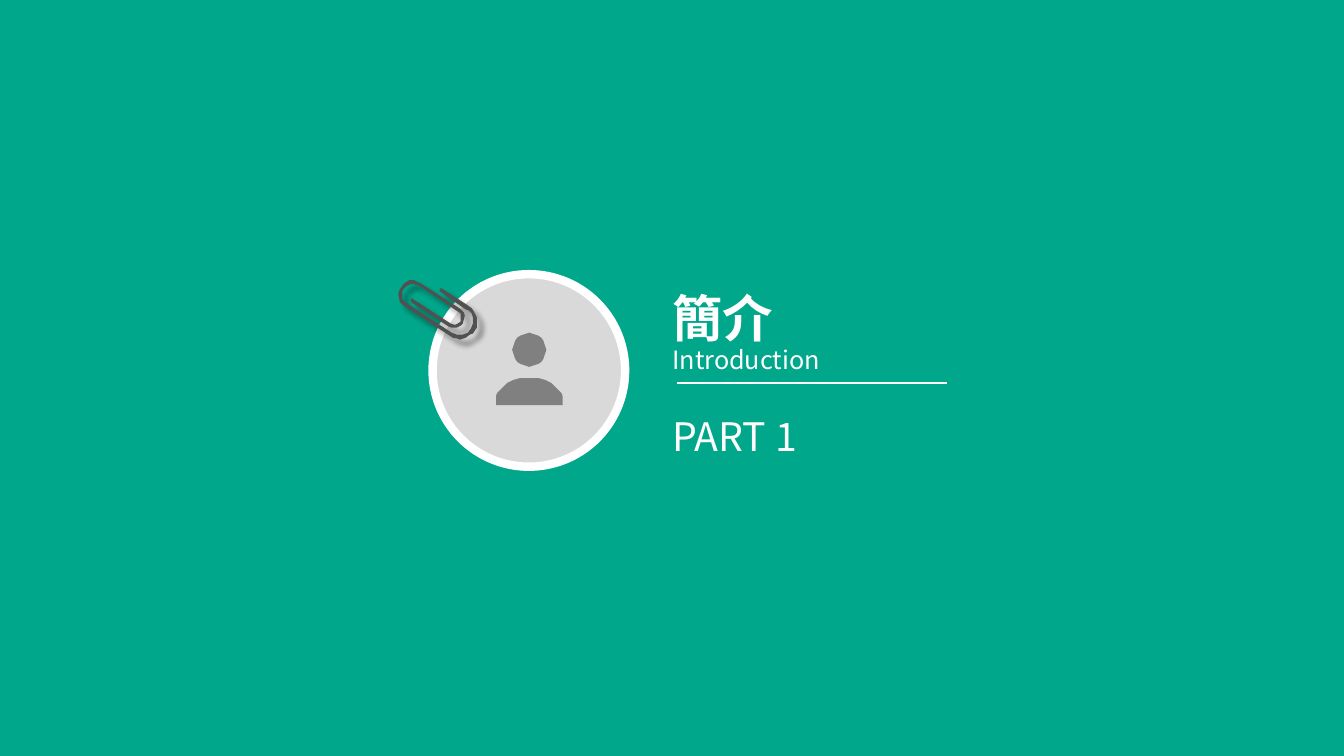
from dataclasses import dataclass
from math import cos, pi, sin

from lxml.etree import SubElement
from pptx import Presentation
from pptx.dml.color import RGBColor
from pptx.enum.shapes import MSO_CONNECTOR, MSO_SHAPE
from pptx.enum.text import MSO_ANCHOR, MSO_AUTO_SIZE, PP_ALIGN
from pptx.oxml.ns import qn
from pptx.util import Inches, Pt


@dataclass(frozen=True)
class Theme:
    """Colours, font and type sizes of the slide."""
    background: RGBColor = RGBColor(0x00, 0xA7, 0x8B)
    light: RGBColor = RGBColor(0xFF, 0xFF, 0xFF)
    badge: RGBColor = RGBColor(0xD9, 0xD9, 0xD9)
    person: RGBColor = RGBColor(0x80, 0x80, 0x80)
    clip: RGBColor = RGBColor(0x51, 0x51, 0x51)
    font: str = "Noto Sans CJK SC"
    title_size: int = 36
    part_size: int = 28
    subtitle_size: int = 18


THEME = Theme()
TEXT_LEFT = 6.57
PERSON_CENTER = 525
HEAD_CENTER_Y = 347
HEAD_RADIUS = 16.5
HEAD_STEPS = 32

SHOULDER = [(525, 375), (516, 375), (509, 377), (503, 380), (499, 384),
            (496, 387), (493, 390), (492, 393), (492, 402)]

PAPERCLIP = [
    (470, 309), (468, 306), (464, 303), (438, 286), (437, 286), (436, 287),
    (436, 289), (462, 307), (465, 308), (468, 311), (469, 315), (469, 321),
    (467, 326), (464, 330), (459, 332), (453, 332), (448, 330), (405, 302),
    (400, 298), (399, 296), (399, 289), (400, 287), (403, 284), (407, 282),
    (411, 282), (415, 283), (454, 309), (457, 311), (457, 319), (454, 321),
    (452, 322), (450, 322), (447, 321), (410, 297), (409, 296), (407, 297),
    (408, 300), (445, 324), (448, 325), (453, 325), (457, 323), (459, 321),
    (460, 317), (461, 313), (460, 310), (456, 306), (417, 281), (411, 278),
    (406, 278), (401, 281), (398, 285), (396, 288), (395, 292), (396, 297),
    (397, 300), (400, 303), (403, 305), (446, 333), (449, 335), (454, 336),
    (456, 337), (459, 336), (462, 335), (466, 332), (469, 331), (471, 328),
    (473, 325), (473, 315),
]


def write_text(shape, text, size, bold=False, spacing=1.0):
    """Fill a shape with one left-aligned line of light text."""
    frame = shape.text_frame
    frame.word_wrap = True
    frame.auto_size = MSO_AUTO_SIZE.SHAPE_TO_FIT_TEXT
    frame.vertical_anchor = MSO_ANCHOR.TOP
    paragraph = frame.paragraphs[0]
    paragraph.alignment = PP_ALIGN.LEFT
    paragraph.line_spacing = spacing
    run = paragraph.add_run()
    run.text = text
    run.font.name = THEME.font
    run.font.size = Pt(size)
    run.font.bold = bold
    run.font.color.rgb = THEME.light
    SubElement(run.font._element, qn("a:ea"), typeface=THEME.font)


def set_title(slide, text, top, width, height):
    """Place and write the title placeholder."""
    title = slide.shapes.title
    title.left, title.top = Inches(TEXT_LEFT), Inches(top)
    title.width, title.height = Inches(width), Inches(height)
    write_text(title, text, THEME.title_size, bold=True)


def add_label(slide, text, top, width, height, size):
    """Add a text box in the text column."""
    box = slide.shapes.add_textbox(Inches(TEXT_LEFT), Inches(top), Inches(width), Inches(height))
    write_text(box, text, size, spacing=1.3)


def add_badge(slide, left, top, diameter):
    """Add the round badge with its light border."""
    badge = slide.shapes.add_shape(MSO_SHAPE.OVAL, Inches(left), Inches(top),
                                   Inches(diameter), Inches(diameter))
    badge.shadow.inherit = False
    badge.fill.solid()
    badge.fill.fore_color.rgb = THEME.badge
    badge.line.color.rgb = THEME.light
    badge.line.width = Pt(6)


def add_rule(slide, left, right, top):
    """Add a thin horizontal rule."""
    rule = slide.shapes.add_connector(MSO_CONNECTOR.STRAIGHT, Inches(left), Inches(top),
                                      Inches(right), Inches(top))
    rule.line.color.rgb = THEME.light
    rule.line.width = Pt(1)
    SubElement(rule._element.spPr, qn("a:effectLst"))


def add_outline(slide, contours, color):
    """Add a filled freeform from contours in hundredths of an inch."""
    first, *others = contours
    builder = slide.shapes.build_freeform(*first[0], scale=Inches(0.01))
    builder.add_line_segments(first[1:], close=True)
    for contour in others:
        builder.move_to(*contour[0])
        builder.add_line_segments(contour[1:], close=True)
    outline = builder.convert_to_shape()
    outline.shadow.inherit = False
    outline.fill.solid()
    outline.fill.fore_color.rgb = color
    outline.line.fill.background()
    return outline


def add_person(slide):
    """Add the person icon: a round head above mirrored shoulders."""
    angles = [2 * pi * step / HEAD_STEPS for step in range(HEAD_STEPS)]
    head = [(PERSON_CENTER + HEAD_RADIUS * cos(angle), HEAD_CENTER_Y + HEAD_RADIUS * sin(angle))
            for angle in angles]
    mirrored = [(2 * PERSON_CENTER - x, y) for x, y in reversed(SHOULDER[1:])]
    add_outline(slide, [head, SHOULDER + mirrored], THEME.person)


def add_soft_shadow(shape, blur, distance, degrees, opacity):
    """Give a shape a blurred black shadow."""
    effects = shape._element.spPr.find(qn("a:effectLst"))
    shadow = SubElement(effects, qn("a:outerShdw"), blurRad=str(Pt(blur)), dist=str(Pt(distance)),
                        dir=str(degrees * 60000), algn="tl", rotWithShape="0")
    color = SubElement(shadow, qn("a:srgbClr"), val="000000")
    SubElement(color, qn("a:alpha"), val=str(opacity * 1000))


def main():
    """Build the section slide and save it."""
    presentation = Presentation()
    presentation.slide_width, presentation.slide_height = Inches(13.33), Inches(7.5)
    slide = presentation.slides.add_slide(presentation.slide_layouts[5])
    slide.background.fill.solid()
    slide.background.fill.fore_color.rgb = THEME.background

    add_badge(slide, 4.29, 2.72, 1.91)
    set_title(slide, "簡介", 2.8, 2.67, 0.71)
    add_label(slide, "PART 1", 3.9, 3.03, 0.65, THEME.part_size)
    add_label(slide, "Introduction", 3.28, 3.03, 0.46, THEME.subtitle_size)
    add_rule(slide, 6.71, 9.39, 3.8)
    paperclip = add_outline(slide, [PAPERCLIP], THEME.clip)
    add_soft_shadow(paperclip, blur=4, distance=6, degrees=45, opacity=40)
    add_person(slide)
    presentation.save("out.pptx")


if __name__ == "__main__":
    main()
